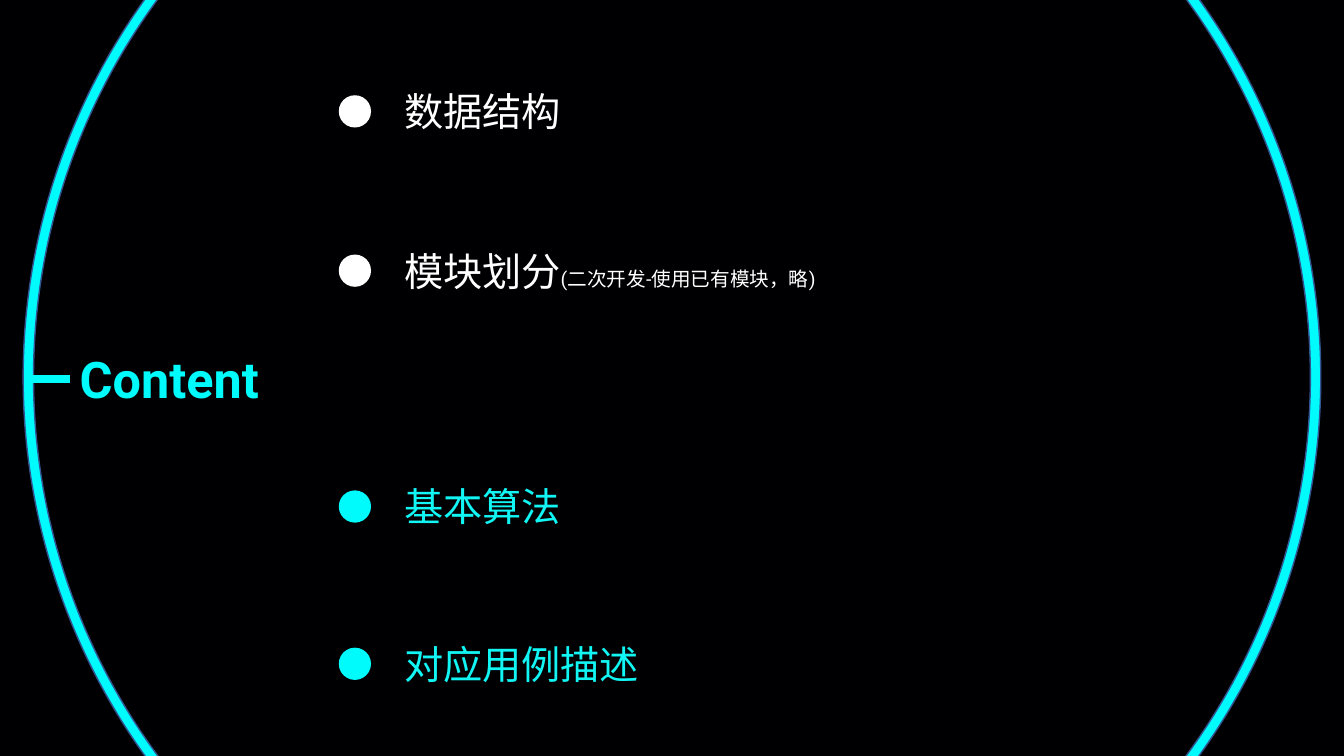
"""Build a dark contents slide with a cyan ring and four dotted entries."""
import pptx
import pptx.util
import pptx.dml.color
import pptx.enum.shapes
import pptx.enum.text
import pptx.oxml
import pptx.oxml.ns

Inches = pptx.util.Inches
Pt = pptx.util.Pt
RGBColor = pptx.dml.color.RGBColor
SHAPES = pptx.enum.shapes.MSO_SHAPE

BLACK = RGBColor(0x00, 0x00, 0x02)
WHITE = RGBColor(0xFF, 0xFF, 0xFF)
CYAN = RGBColor(0x00, 0xFB, 0xFC)
TEXT_CYAN = RGBColor(0x11, 0xF6, 0xF4)
RING_EDGE = RGBColor(0x32, 0x54, 0x91)
FONT = "Roboto"
DOT_SIZE = 0.32
ENTRY_HEIGHT = 0.57

ENTRIES = [
    ("数据结构", "", 0.82, 1.77, WHITE, WHITE),
    ("模块划分", "(二次开发-使用已有模块，略)", 2.4, 4.33, WHITE, WHITE),
    ("基本算法", "", 4.74, 1.77, CYAN, TEXT_CYAN),
    ("对应用例描述", "", 6.3, 2.56, CYAN, TEXT_CYAN),
]


def add_filled_shape(page, kind, left, top, size, color):
    shape = page.shapes.add_shape(kind, Inches(left), Inches(top), Inches(size), Inches(size))
    shape.shadow.inherit = False
    shape.fill.solid()
    shape.fill.fore_color.rgb = color
    shape.line.fill.background()
    return shape


def format_paragraph(para, size, color, bold):
    para.alignment = pptx.enum.text.PP_ALIGN.LEFT
    para.font.name = FONT
    para.font.size = Pt(size)
    para.font.color.rgb = color
    para.font.bold = bold


deck = pptx.Presentation()
deck.slide_width = Inches(13.33)
deck.slide_height = Inches(7.5)
page = deck.slides.add_slide(deck.slide_layouts[5])
page.background.fill.solid()
page.background.fill.fore_color.rgb = BLACK

ring = add_filled_shape(page, SHAPES.DONUT, 0.23, -2.69, 12.87, CYAN)
ring.adjustments[0] = 0.008
ring.line.color.rgb = RING_EDGE
ring.line.width = Pt(1)

tick = page.shapes.add_connector(
    pptx.enum.shapes.MSO_CONNECTOR.STRAIGHT,
    Inches(0.32), Inches(3.76), Inches(0.69), Inches(3.76))
tick.line.color.rgb = CYAN
tick.line.width = Pt(5.5)
tick._element.spPr.append(pptx.oxml.parse_xml(
    f"<a:effectLst {pptx.oxml.ns.nsdecls('a')}/>"))

title = page.shapes.title
title.left, title.top = Inches(0.69), Inches(3.4)
title.width, title.height = Inches(1.99), Inches(0.71)
title.text_frame.text = "Content"
title.text_frame.word_wrap = False
title.text_frame.auto_size = pptx.enum.text.MSO_AUTO_SIZE.SHAPE_TO_FIT_TEXT
title.text_frame.vertical_anchor = pptx.enum.text.MSO_ANCHOR.TOP
format_paragraph(title.text_frame.paragraphs[0], 36, CYAN, True)

for label, note, top, width, dot_color, text_color in ENTRIES:
    dot_top = top + (ENTRY_HEIGHT - DOT_SIZE) / 2
    add_filled_shape(page, SHAPES.OVAL, 3.36, dot_top, DOT_SIZE, dot_color)
    box = page.shapes.add_textbox(Inches(3.91), Inches(top), Inches(width), Inches(ENTRY_HEIGHT))
    box.text_frame.word_wrap = bool(note)
    box.text_frame.auto_size = pptx.enum.text.MSO_AUTO_SIZE.SHAPE_TO_FIT_TEXT
    para = box.text_frame.paragraphs[0]
    format_paragraph(para, 28, text_color, False)
    para.add_run().text = label
    if note:
        span = para.add_run()
        span.text = note
        span.font.size = Pt(14)

deck.save("out.pptx")
